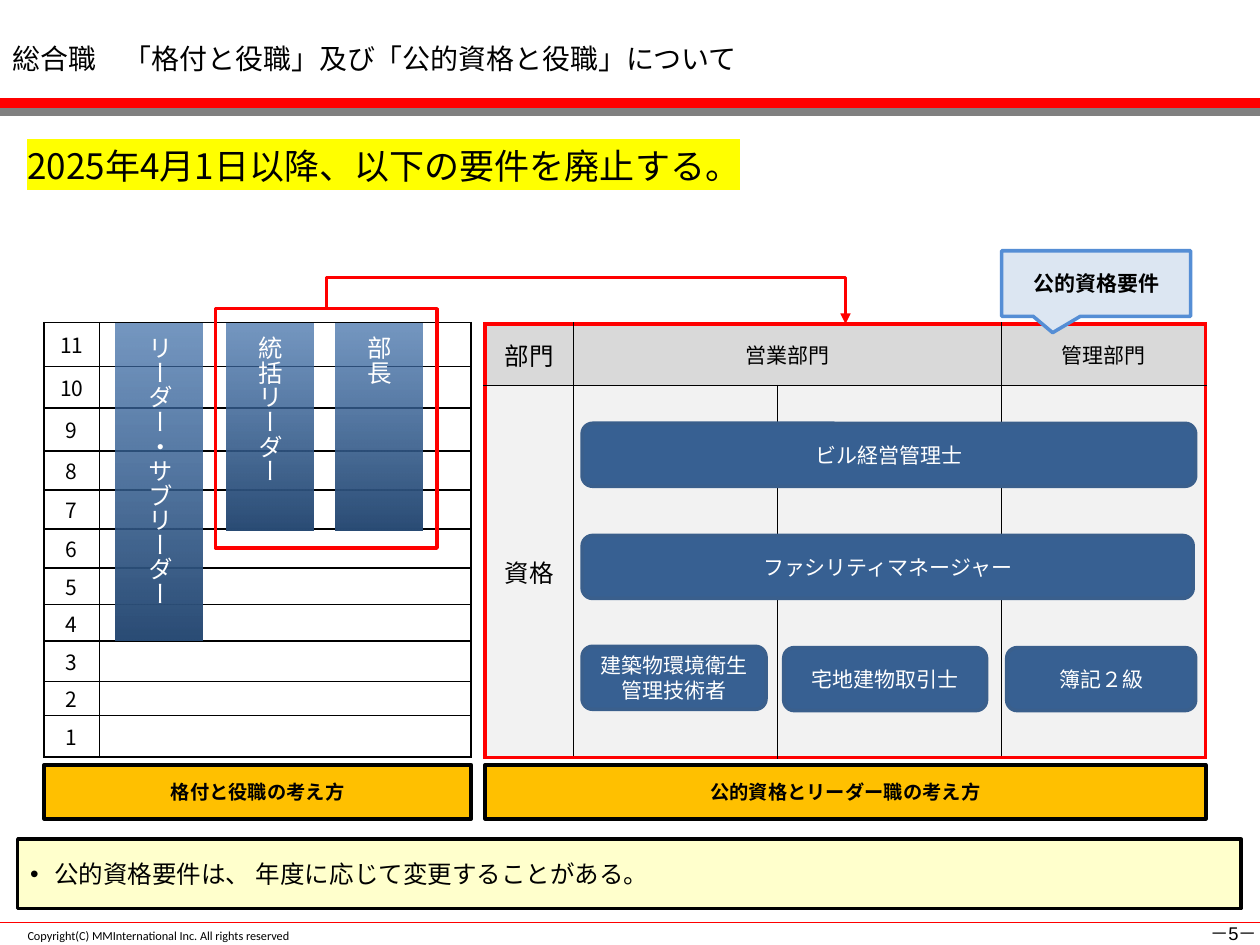
from dataclasses import dataclass
from typing import Optional

from lxml import etree
from pptx import Presentation
from pptx.dml.color import RGBColor
from pptx.enum import shapes, text
from pptx.oxml import ns
from pptx.util import Inches, Pt

BLACK = RGBColor(0x00, 0x00, 0x00)
WHITE = RGBColor(0xFF, 0xFF, 0xFF)
RED = RGBColor(0xFF, 0x00, 0x00)
GRAY = RGBColor(0x80, 0x80, 0x80)
HEADER_GRAY = RGBColor(0xD9, 0xD9, 0xD9)
BODY_GRAY = RGBColor(0xF2, 0xF2, 0xF2)
BAR_DARK = RGBColor(0x2A, 0x4C, 0x75)
BAR_LIGHT = RGBColor(0x3C, 0x6C, 0xA6)
PILL_BLUE = RGBColor(0x37, 0x60, 0x92)
PILL_EDGE = RGBColor(0x3A, 0x5F, 0x8C)
AMBER = RGBColor(0xFF, 0xC0, 0x00)
CREAM = RGBColor(0xFF, 0xFF, 0xCC)
CALLOUT_BLUE = RGBColor(0xDC, 0xE6, 0xF2)
CALLOUT_EDGE = RGBColor(0x55, 0x8E, 0xD5)

JP = "Noto Sans CJK JP"
RECT = shapes.MSO_SHAPE.RECTANGLE
ROUNDED = shapes.MSO_SHAPE.ROUNDED_RECTANGLE
CALLOUT = shapes.MSO_SHAPE.RECTANGULAR_CALLOUT
CENTER, LEFT = text.PP_ALIGN.CENTER, text.PP_ALIGN.LEFT
MIDDLE, TOP = text.MSO_ANCHOR.MIDDLE, text.MSO_ANCHOR.TOP


@dataclass(frozen=True)
class Box:
    left: float
    top: float
    width: float
    height: float

    def lengths(self) -> list:
        return [Inches(v) for v in (self.left, self.top, self.width, self.height)]


@dataclass(frozen=True)
class Style:
    size: float
    color: RGBColor = BLACK
    bold: bool = False
    font: str = JP
    align: int = CENTER
    highlight: Optional[str] = None


def add_xml(parent, tag: str, **attributes: str):
    element = etree.SubElement(parent, ns.qn(tag))
    for key, value in attributes.items():
        element.set(key, value)
    return element


def write(frame, words: str, style: Style) -> None:
    frame.text = words
    for paragraph in frame.paragraphs:
        paragraph.alignment = style.align
        for run in paragraph.runs:
            run.font.size = Pt(style.size)
            run.font.bold = style.bold
            run.font.color.rgb = style.color
            properties = run.font._element
            if style.highlight:
                add_xml(add_xml(properties, "a:highlight"), "a:srgbClr", val=style.highlight)
            run.font.name = style.font
            add_xml(properties, "a:ea", typeface=style.font)


def add_box(slide, box: Box, fill=None, edge=None, words: str = "",
            style: Style = Style(12), kind=RECT, edge_width: float = 2):
    shape = slide.shapes.add_shape(kind, *box.lengths())
    shape.shadow.inherit = False
    if fill is None:
        shape.fill.background()
    else:
        shape.fill.solid()
        shape.fill.fore_color.rgb = fill
    if edge is None:
        shape.line.fill.background()
    else:
        shape.line.color.rgb = edge
        shape.line.width = Pt(edge_width)
    if words:
        shape.text_frame.vertical_anchor = MIDDLE
        write(shape.text_frame, words, style)
    return shape


def add_text(slide, box: Box, words: str, style: Style, anchor=MIDDLE, wrap=True):
    frame = slide.shapes.add_textbox(*box.lengths()).text_frame
    frame.word_wrap = wrap
    frame.vertical_anchor = anchor
    write(frame, words, style)
    return frame


def add_role_bar(slide, left: float, height: float, role: str) -> None:
    bar = add_box(slide, Box(left, 2.57, 0.69, height), words=role, style=Style(14, WHITE))
    bar.fill.gradient()
    bar.fill.gradient_angle = 90
    for stop, color, position in zip(bar.fill.gradient_stops, (BAR_DARK, BAR_LIGHT), (0, 1)):
        stop.color.rgb = color
        stop.position = position
    light = bar._element.spPr.findall(".//" + ns.qn("a:srgbClr"))[-1]
    add_xml(light, "a:alpha", val="71000")
    bar.text_frame._txBody.bodyPr.set("vert", "eaVert")


def add_line(slide, kind, start: tuple, end: tuple, width: float):
    ends = [Inches(v) for v in start + end]
    line = slide.shapes.add_connector(kind, *ends)
    line.line.color.rgb = RED
    line.line.width = Pt(width)
    add_xml(line._element.spPr, "a:effectLst")
    return line


def add_grid(slide, box: Box, columns: list, rows: list):
    table = slide.shapes.add_table(len(rows), len(columns), *box.lengths()).table
    table.first_row = table.horz_banding = False
    for column, width in zip(table.columns, columns):
        column.width = Inches(width)
    for row, height in zip(table.rows, rows):
        row.height = Inches(height)
    return table


def set_cell(cell, words: str, style: Style, fill=None, red_sides: str = "") -> None:
    cell.vertical_anchor = MIDDLE
    if words:
        write(cell.text_frame, words, style)
    else:
        end = cell.text_frame.paragraphs[0]._p
        add_xml(end, "a:endParaRPr", sz=str(style.size * 100))
    properties = cell._tc.get_or_add_tcPr()
    for side in "LRTB":
        color, width = (RED, 2.25) if side in red_sides else (BLACK, 1)
        border = add_xml(properties, f"a:ln{side}", w=str(Pt(width)))
        add_xml(add_xml(border, "a:solidFill"), "a:srgbClr", val=str(color))
    if fill is None:
        cell.fill.background()
    else:
        cell.fill.solid()
        cell.fill.fore_color.rgb = fill


def add_grade_table(slide) -> None:
    heights = [0.35, 0.33, 0.34, 0.31, 0.31, 0.31, 0.29, 0.29, 0.32, 0.27, 0.33]
    table = add_grid(slide, Box(0.35, 2.56, 3.39, 3.44), [0.44, 2.95], heights)
    for row in range(len(heights)):
        for column, words in enumerate((str(len(heights) - row), "")):
            cell = table.cell(row, column)
            cell.margin_left = cell.margin_right = cell.margin_top = cell.margin_bottom = 0
            set_cell(cell, words, Style(12))


def add_qualification_table(slide) -> None:
    table = add_grid(slide, Box(3.85, 2.57, 5.72, 3.44), [0.7, 1.62, 1.78, 1.62], [0.49, 2.95])
    table.cell(0, 1).merge(table.cell(0, 2))
    rows = [(["部門", "営業部門", "", "管理部門"], HEADER_GRAY, "T"),
            (["資格", "", "", ""], BODY_GRAY, "B")]
    for row, (labels, fill, outer) in enumerate(rows):
        for column, label in enumerate(labels):
            sides = outer + {0: "L", 3: "R"}.get(column, "")
            set_cell(table.cell(row, column), label, Style(12 if column else 14), fill, sides)


def main() -> None:
    deck = Presentation()
    deck.slide_width, deck.slide_height = Inches(10), Inches(7.5)
    slide = deck.slides.add_slide(deck.slide_layouts[6])

    # Footer and title band
    add_text(slide, Box(0.12, 7.32, 5.91, 0.22),
             "Copyright(C) MMInternational Inc. All rights reserved",
             Style(7, font="Calibri", align=LEFT), TOP)
    add_line(slide, shapes.MSO_CONNECTOR.STRAIGHT, (0, 7.32), (10, 7.32), 0.75)
    for top, color in ((0.86, GRAY), (0.79, RED)):
        add_box(slide, Box(0, top, 10, 0.05), color, color)
    page = add_text(slide, Box(9.6, 7.32, 0.38, 0.18), "－5－",
                    Style(10.5, font="Arial"), TOP, wrap=False)
    page.margin_left = page.margin_right = page.margin_top = page.margin_bottom = 0
    add_text(slide, Box(0, 0.16, 8.74, 0.61),
             "総合職　「格付と役職」及び「公的資格と役職」について", Style(16, align=LEFT))

    # Grades and the roles they span
    add_grade_table(slide)
    for left, height, role in ((0.92, 2.51, "リーダー・サブリーダー"),
                               (1.8, 1.64, "統括リーダー"), (2.66, 1.64, "部長")):
        add_role_bar(slide, left, height, role)

    # Qualifications by division
    add_qualification_table(slide)
    for left, top, width, label in ((4.62, 3.36, 4.87, "ビル経営管理士"),
                                    (4.62, 4.25, 4.85, "ファシリティマネージャー"),
                                    (4.62, 5.13, 1.46, "建築物環境衛生\n管理技術者"),
                                    (6.22, 5.14, 1.61, "宅地建物取引士"),
                                    (7.99, 5.14, 1.5, "簿記２級")):
        add_box(slide, Box(left, top, width, 0.5), PILL_BLUE, PILL_EDGE, label,
                Style(12, WHITE), ROUNDED)

    # Red frame and its arrow, an elbow turned to leave upwards
    add_box(slide, Box(1.71, 2.45, 1.76, 1.9), edge=RED)
    arrow = add_line(slide, shapes.MSO_CONNECTOR.ELBOW, (4.71, 0.45), (4.59, 4.57), 1.75)
    properties = arrow._element.spPr
    properties.find(ns.qn("a:xfrm")).set("rot", str(270 * 60000))
    guides = properties.find(ns.qn("a:prstGeom")).find(ns.qn("a:avLst"))
    add_xml(guides, "a:gd", name="adj1", fmla="val -205300")
    add_xml(properties.find(ns.qn("a:ln")), "a:tailEnd", type="triangle")

    # Captions, callout and note
    for left, width, caption in ((3.85, 5.72, "公的資格とリーダー職の考え方"),
                                 (0.35, 3.39, "格付と役職の考え方")):
        add_box(slide, Box(left, 6.07, width, 0.43), AMBER, BLACK, caption, Style(11, bold=True))
    callout = add_box(slide, Box(7.95, 1.99, 1.5, 0.52), CALLOUT_BLUE, CALLOUT_EDGE,
                      "公的資格要件", Style(12, bold=True), CALLOUT)
    callout.adjustments[0], callout.adjustments[1] = -0.23, 0.75
    note = add_box(slide, Box(0.14, 6.66, 9.71, 0.55), CREAM, BLACK,
                   "公的資格要件は、 年度に応じて変更することがある。", Style(14, align=LEFT))
    bullet = note.text_frame.paragraphs[0]._p.get_or_add_pPr()
    bullet.set("marL", str(Inches(0.19)))
    bullet.set("indent", str(Inches(-0.19)))
    add_xml(bullet, "a:buFont", typeface="Arial")
    add_xml(bullet, "a:buChar", char="•")
    add_text(slide, Box(0.12, 1.01, 8.74, 0.61), "2025年4月1日以降、以下の要件を廃止する。",
             Style(20, align=LEFT, highlight="FFFF00"))

    deck.save("out.pptx")


if __name__ == "__main__":
    main()
